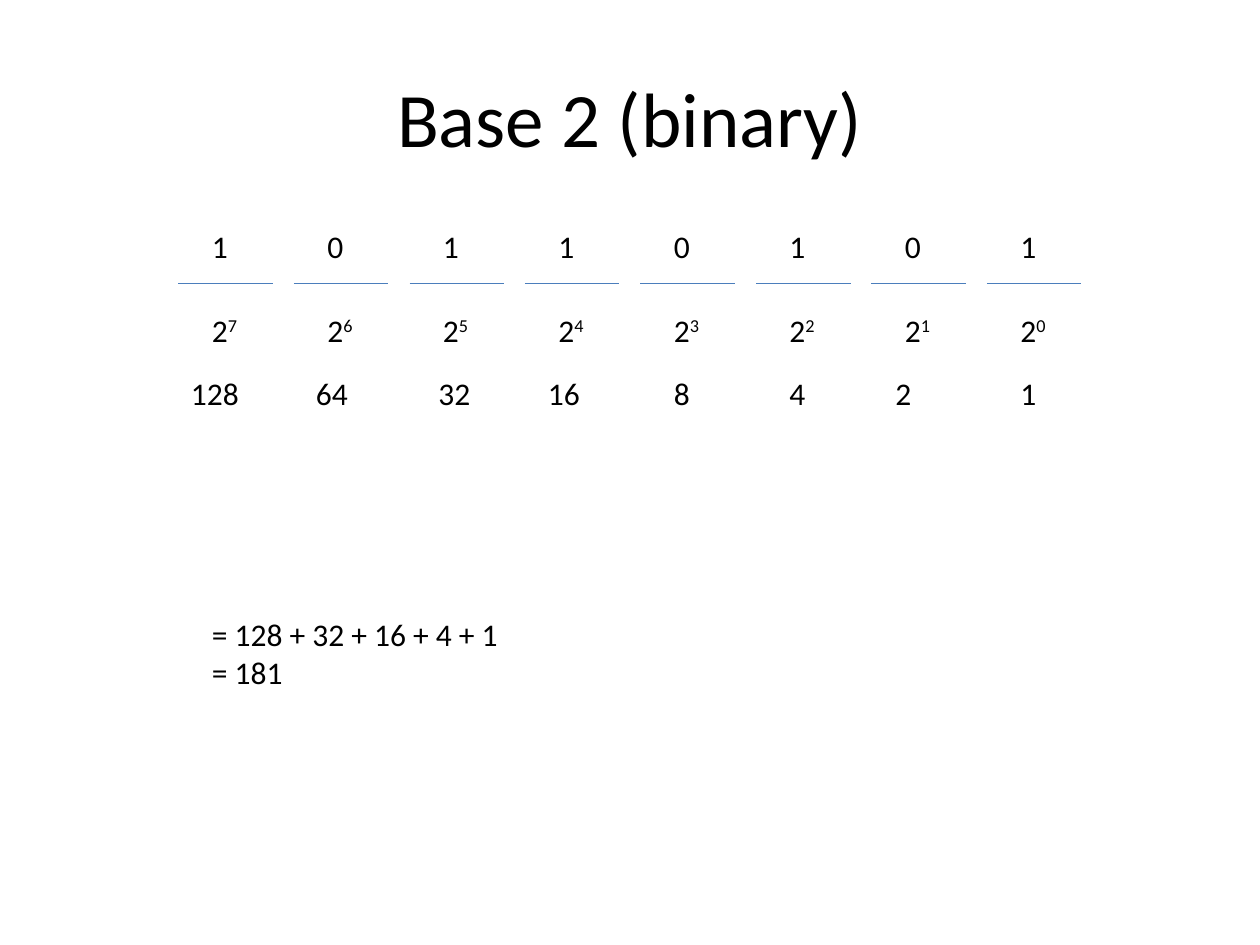
from lxml.etree import SubElement
from pptx import Presentation
from pptx.dml.color import RGBColor
from pptx.enum.shapes import MSO_CONNECTOR as CONN
from pptx.enum.text import MSO_ANCHOR, MSO_AUTO_SIZE as FIT, PP_ALIGN
from pptx.oxml.ns import qn
from pptx.util import Pt

COLORS = {"text": "000000", "rule": "4B7EBC"}
BITS = "10110101"
STEP = 66
RULE_LEFT, RULE_WIDTH, RULE_TOP = 102, 54, 162
DIGIT_LEFT = 114
BIT_TOP, POWER_TOP, VALUE_TOP = 126, 174, 210
VALUE_LEFTS = (102, 173.5, 243.5, 306, 378, 444, 504.5, 576)
VALUE_WIDTHS = {1: 24, 2: 33, 3: 42.5}


class SlideBuilder:
    def __init__(self, slide):
        self.slide = slide
        self.font = "Calibri"
        self.body_size = 18
        self.title_size = 44

    def style(self, font, size):
        values = {"name": self.font, "size": Pt(size)}
        for name, value in values.items():
            setattr(font, name, value)
        font.color.rgb = RGBColor.from_string(COLORS["text"])

    def title(self, text, left, top, width, height):
        s = self.slide.shapes.title
        box = {"left": left, "top": top, "width": width, "height": height}
        for name, value in box.items():
            setattr(s, name, Pt(value))
        tf = s.text_frame
        tf.text = text
        tf.vertical_anchor = MSO_ANCHOR.MIDDLE
        p = tf.paragraphs[0]
        p.alignment = PP_ALIGN.CENTER
        self.style(p.runs[0].font, self.title_size)

    def text(self, lines, left, top, width, height=29, power=None):
        """Add a text box; power is set as a superscript after the last line."""
        s = self.slide.shapes.add_textbox(Pt(left), Pt(top), Pt(width), Pt(height))
        tf = s.text_frame
        tf.word_wrap = False
        tf.auto_size = FIT.SHAPE_TO_FIT_TEXT
        for i, line in enumerate(lines):
            p = tf.add_paragraph() if i else tf.paragraphs[0]
            r = p.add_run()
            r.text = line
            self.style(r.font, self.body_size)
        if power is not None:
            r = p.add_run()
            r.text = str(power)
            self.style(r.font, self.body_size)
            r.font._element.set("baseline", "30000")

    def rule(self, left, top, width):
        s = self.slide.shapes.add_connector(
            CONN.STRAIGHT, Pt(left), Pt(top), Pt(left + width), Pt(top))
        s.line.width = Pt(0.75)
        s.line.color.rgb = RGBColor.from_string(COLORS["rule"])
        SubElement(s._element.spPr, qn("a:effectLst"))


def main():
    prs = Presentation()
    prs.slide_width, prs.slide_height = Pt(720), Pt(540)
    page = SlideBuilder(prs.slides.add_slide(prs.slide_layouts[5]))

    page.title("Base 2 (binary)", 36, 21.6, 648, 90)
    for i, (bit, value_left) in enumerate(zip(BITS, VALUE_LEFTS)):
        power = len(BITS) - 1 - i
        value = str(2 ** power)
        left = DIGIT_LEFT + i * STEP
        page.rule(RULE_LEFT + i * STEP, RULE_TOP, RULE_WIDTH)
        page.text([bit], left, BIT_TOP, VALUE_WIDTHS[1])
        page.text(["2"], left, POWER_TOP, 30, power=power)
        page.text([value], value_left, VALUE_TOP, VALUE_WIDTHS[len(value)])
    page.text(["= 128 + 32 + 16 + 4 + 1", "= 181"], 114, 348, 180.5, 51)

    prs.save("out.pptx")


if __name__ == "__main__":
    main()
